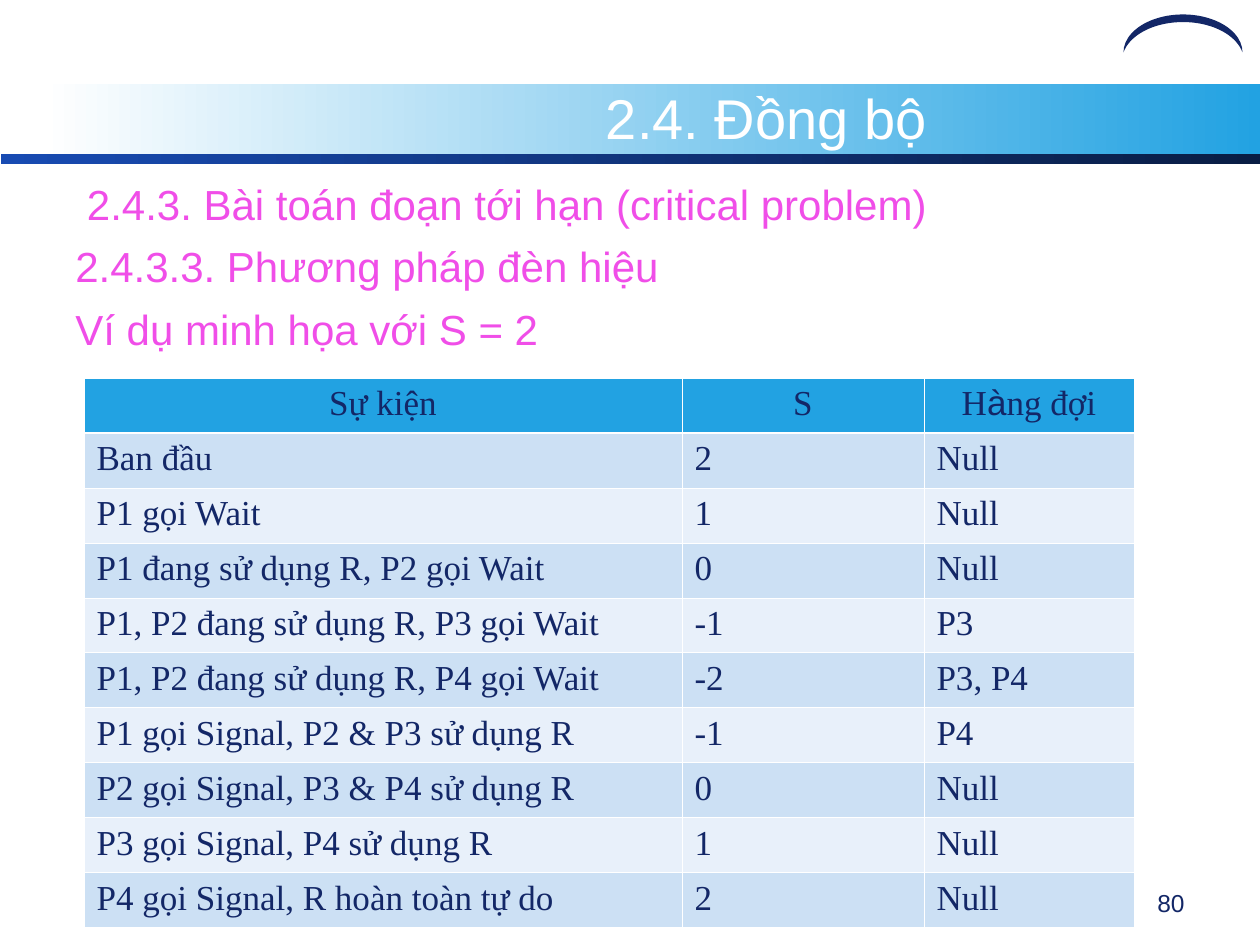
from dataclasses import dataclass

from lxml import etree
from pptx import Presentation
from pptx import util as u
from pptx.dml.color import RGBColor
from pptx.enum import shapes, text
from pptx.oxml.ns import qn


@dataclass(frozen=True)
class Theme:
    navy: str = "132767"
    white: str = "FFFFFF"
    pink: str = "F04EE8"
    sky: str = "22A2E2"
    royal: str = "184BB2"
    night: str = "091D44"
    bands: tuple = ("CCE0F4", "E8F0FA")
    sans: str = "Arial"
    serif: str = "Times New Roman"
    title: int = 32
    body: int = 24
    cell: int = 20
    page: int = 14


T = Theme()
SCALE = 914400 / 126


def px(*sizes):
    return [u.Emu(round(size * SCALE)) for size in sizes]


def add_run(para, words, size, color, face=T.sans):
    run = para.add_run()
    run.text = words
    run.font.size = u.Pt(size)
    run.font.name = face
    run.font.bold = False
    run.font.color.rgb = RGBColor.from_string(color)


deck = Presentation()
deck.slide_width, deck.slide_height = px(1260, 945)
slide = deck.slides.add_slide(deck.slide_layouts[5])

# Header bars
bars = [
    ((42, 84, 1218, 73), (T.white, T.sky)),
    ((1, 154, 1259, 10), (T.royal, T.night)),
]
for box, colors in bars:
    bar = slide.shapes.add_shape(shapes.MSO_SHAPE.RECTANGLE, *px(*box))
    bar.shadow.inherit = False
    bar.line.fill.background()
    bar.fill.gradient()
    bar.fill.gradient_angle = 0
    for stop, color, place in zip(bar.fill.gradient_stops, colors, (0, 1)):
        stop.color.rgb = RGBColor.from_string(color)
        stop.position = place

# Corner arc
arc = slide.shapes.add_shape(shapes.MSO_SHAPE.MOON, *px(1164, -26, 38, 119))
arc.rotation = 90
arc.adjustments[0] = 0.2
arc.shadow.inherit = False
arc.line.fill.background()
arc.fill.solid()
arc.fill.fore_color.rgb = RGBColor.from_string(T.navy)

# Page number
page = slide.shapes.add_textbox(*px(903, 882, 294, 44)).text_frame
page.word_wrap = True
page.paragraphs[0].alignment = text.PP_ALIGN.RIGHT
add_run(page.paragraphs[0], "80", T.page, T.navy)

# Title, raised above the bars
title = slide.shapes.title
title.left, title.top, title.width, title.height = px(336, 84, 861, 67)
arc.element.addnext(title.element)
frame = title.text_frame
frame.auto_size = text.MSO_AUTO_SIZE.NONE
frame.vertical_anchor = text.MSO_ANCHOR.MIDDLE
frame.paragraphs[0].alignment = text.PP_ALIGN.CENTER
add_run(frame.paragraphs[0], "2.4. Đồng bộ", T.title, T.white)

# Headings
heads = [
    " 2.4.3. Bài toán đoạn tới hạn (critical problem)",
    "2.4.3.3. Phương pháp đèn hiệu",
    "Ví dụ minh họa với S = 2",
]
body = slide.shapes.add_textbox(*px(63, 172, 1134, 699)).text_frame
body.word_wrap = True
for i, head in enumerate(heads):
    para = body.add_paragraph() if i else body.paragraphs[0]
    if i:
        para.space_before = u.Pt(7)
    add_run(para, head, T.body, T.pink)

# Semaphore table
rows = [
    ("Sự kiện", "S", "Hàng đợi"),
    ("Ban đầu", "2", "Null"),
    ("P1 gọi Wait", "1", "Null"),
    ("P1 đang sử dụng R, P2 gọi Wait", "0", "Null"),
    ("P1, P2 đang sử dụng R, P3 gọi Wait", "-1", "P3"),
    ("P1, P2 đang sử dụng R, P4 gọi Wait", "-2", "P3, P4"),
    ("P1 gọi Signal, P2 & P3 sử dụng R", "-1", "P4"),
    ("P2 gọi Signal, P3 & P4 sử dụng R", "0", "Null"),
    ("P3 gọi Signal, P4 sử dụng R", "1", "Null"),
    ("P4 gọi Signal, R hoàn toàn tự do", "2", "Null"),
]
wides = px(598, 242, 210)
high = px(55)[0]
grid = slide.shapes.add_table(
    len(rows), len(wides), *px(84, 378), sum(wides), high * len(rows)
).table
grid.first_row = grid.horz_banding = False
for col, wide in zip(grid.columns, wides):
    col.width = wide

for r, row in enumerate(rows):
    grid.rows[r].height = high
    for c, words in enumerate(row):
        cell = grid.cell(r, c)
        para = cell.text_frame.paragraphs[0]
        if r == 0:
            para.alignment = text.PP_ALIGN.CENTER
        # The letter à is set in the sans face
        parts = words.partition("à") if words == "Hàng đợi" else (words,)
        for part in parts:
            face = T.sans if part == "à" else T.serif
            add_run(para, part, T.cell, T.navy, face)

        props = cell._tc.get_or_add_tcPr()
        for side in ("lnL", "lnR", "lnT", "lnB"):
            thick = (r, side) in ((0, "lnB"), (1, "lnT"))
            line = etree.SubElement(props, qn(f"a:{side}"))
            line.set("w", str(u.Pt(1.47 if thick else 0.45)))
            paint = etree.SubElement(line, qn("a:solidFill"))
            etree.SubElement(paint, qn("a:srgbClr")).set("val", T.white)
        cell.fill.solid()
        shade = T.bands[(r - 1) % 2] if r else T.sky
        cell.fill.fore_color.rgb = RGBColor.from_string(shade)

deck.save("out.pptx")
